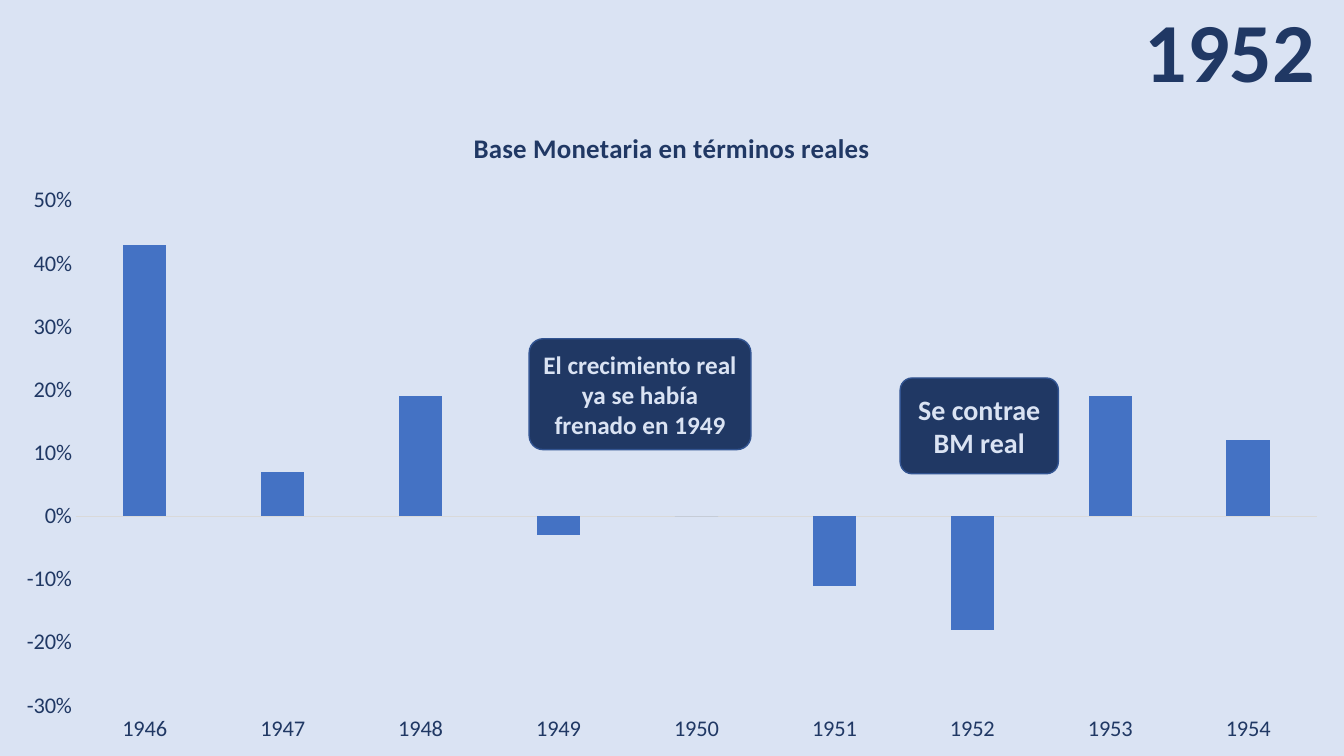
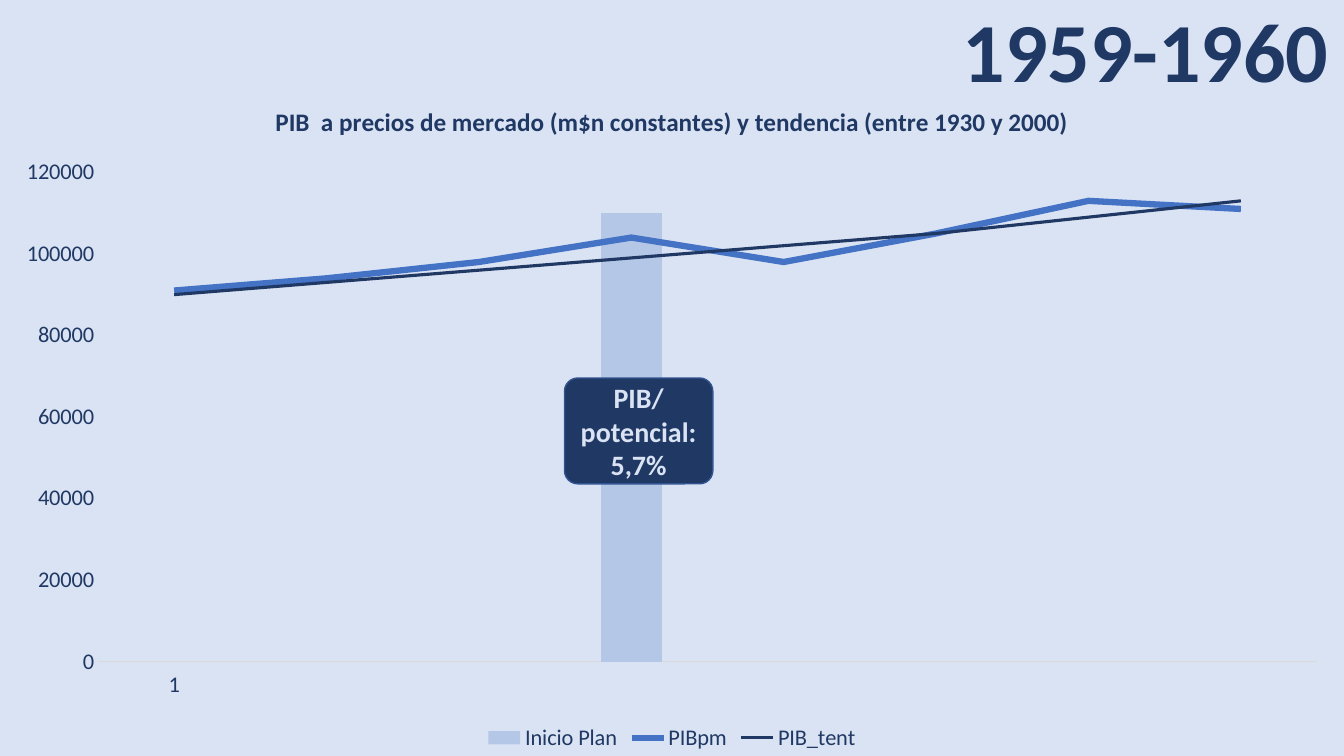
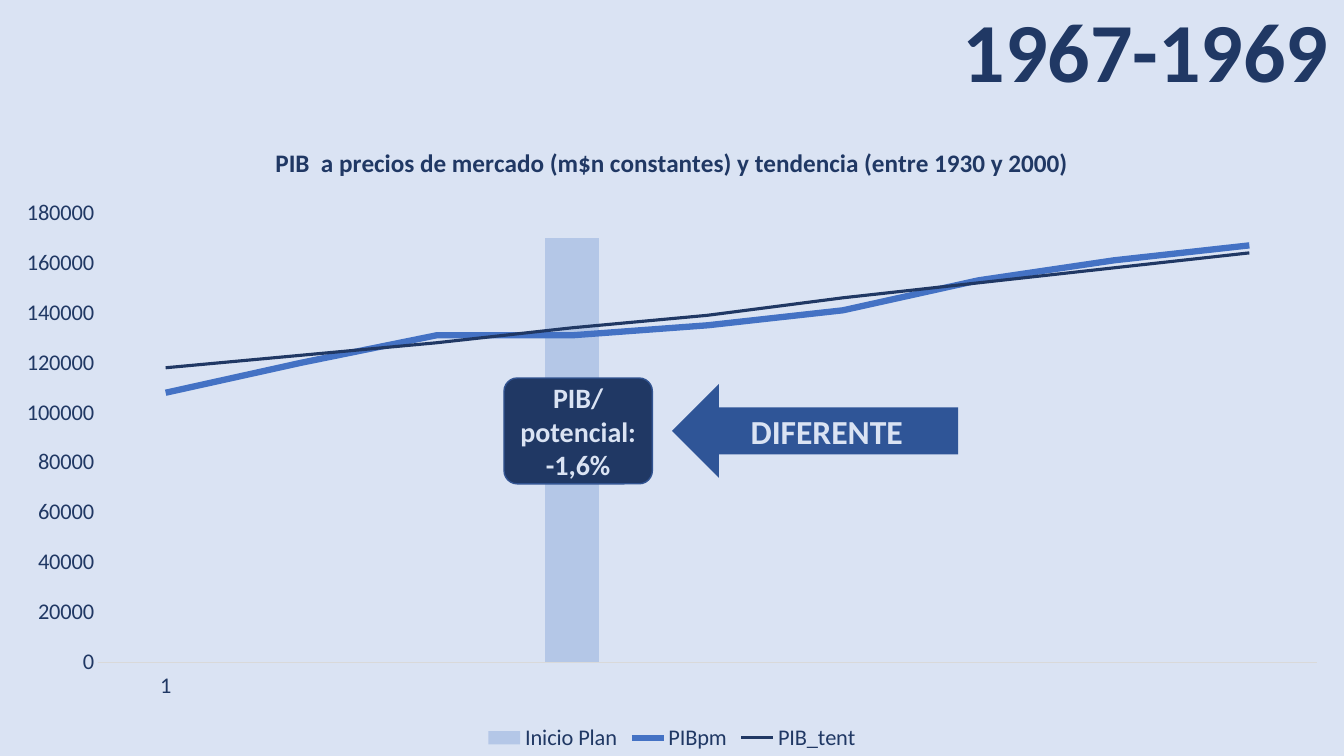
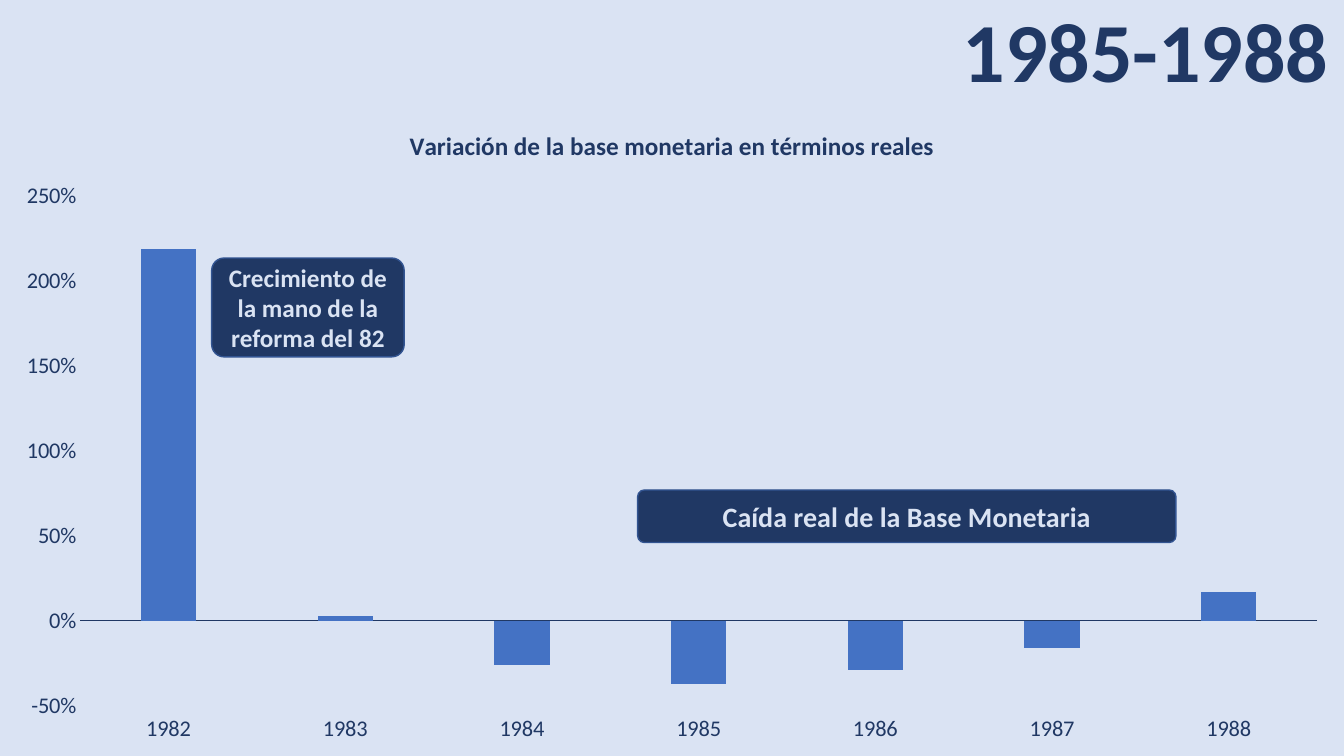
from lxml import etree
from pptx import Presentation
from pptx.chart.data import CategoryChartData
from pptx.dml.color import RGBColor
from pptx.enum.chart import XL_CHART_TYPE as ChartType
from pptx.enum.chart import XL_LEGEND_POSITION as LegendPosition
from pptx.enum.chart import XL_MARKER_STYLE as MarkerStyle
from pptx.enum.chart import XL_TICK_LABEL_POSITION as LabelPosition
from pptx.enum.chart import XL_TICK_MARK as TickMark
from pptx.enum.shapes import MSO_SHAPE as Shape
from pptx.enum.text import MSO_ANCHOR as Anchor
from pptx.enum.text import PP_ALIGN as Align
from pptx.oxml.ns import qn
from pptx.util import Pt

COLORS = {
    "background": "DAE3F3",
    "dark": "203864",
    "bar": "4472C4",
    "plan": "B4C7E7",
    "arrow": "2F5597",
    "outline": "325491",
    "axis": "D9D9D9",
}
FONT = "Calibri"
SLIDE_WIDTH, SLIDE_HEIGHT = 960, 540
YEAR_RIGHT, YEAR_HEIGHT = 961, 75.6
TREND_TITLE = "PIB  a precios de mercado (m$n constantes) y tendencia (entre 1930 y 2000)"
# Line series: colour and width
TREND_LINES = {"PIBpm": ("bar", 4.5), "PIB_tent": ("dark", 2.25)}
VALUE_AXIS = {
    "has_major_gridlines": False,
    "major_tick_mark": TickMark.NONE,
    "minor_tick_mark": TickMark.NONE,
}
CATEGORY_AXIS = {**VALUE_AXIS, "tick_label_position": LabelPosition.LOW}

# Boxes are left, top, width, height; scales are minimum, maximum, step
SLIDES = [
    {
        "year": "1952", "year_width": 165,
        "title": "Base Monetaria en términos reales", "title_size": 19.2,
        "chart_top": 75.6, "scale": (-0.3, 0.5, 0.1), "axis": "axis",
        "categories": range(1946, 1955),
        "series": {"Series 1": (0.43, 0.07, 0.19, -0.03, 0, -0.11, -0.18, 0.19, 0.12)},
        "callouts": [
            ("Se contrae BM real", 20, (643, 270, 113, 68.4)),
            ("El crecimiento real ya se había frenado en 1949", 18, (378, 242, 158.4, 79.2)),
        ],
    },
    {
        "year": "1959-1960", "year_width": 285,
        "title": TREND_TITLE, "title_size": 18,
        "chart_top": 57.6, "scale": (0, 120000, 20000), "axis": "axis",
        "categories": ["1"] + [""] * 7,
        "series": {
            "Inicio Plan": (None, None, None, 110000, None, None, None, None),
            "PIBpm": (91000, 94000, 98000, 104000, 98000, 105000, 113000, 111000),
            "PIB_tent": (90000, 93000, 96000, 99000, 102000, 105000, 109000, 113000),
        },
        "callouts": [("PIB/\npotencial:\n5,7%", 20, (403.2, 270, 106, 75.6))],
    },
    {
        "year": "1967-1969", "year_width": 285,
        "title": TREND_TITLE, "title_size": 18,
        "chart_top": 87.8, "scale": (0, 180000, 20000), "axis": "axis",
        "categories": ["1"] + [""] * 8,
        "series": {
            "Inicio Plan": (None, None, None, 170000, None, None, None, None, None),
            "PIBpm": (108000, 120000, 131000, 131000, 135000, 141000, 153000, 161000, 167000),
            "PIB_tent": (118000, 123000, 128000, 134000, 139000, 146000, 152000, 158000, 164000),
        },
        "callouts": [("PIB/\npotencial:\n-1,6%", 20, (360, 270, 106, 75.6))],
        "arrow": ("DIFERENTE", 24, (480, 274.3, 204.5, 67)),
    },
    {
        "year": "1985-1988", "year_width": 285,
        "title": "Variación de la base monetaria en términos reales", "title_size": 18,
        "chart_top": 75.6, "scale": (-0.5, 2.5, 0.5), "axis": "dark",
        "categories": range(1982, 1989),
        "series": {"Series 1": (2.19, 0.03, -0.26, -0.37, -0.29, -0.16, 0.17)},
        "callouts": [
            ("Crecimiento de la mano de la reforma del 82", 18, (151.2, 184.3, 137.5, 70.6)),
            ("Caída real de la Base Monetaria", 20, (455.5, 350, 384.5, 37.5)),
        ],
    },
]


def color(name):
    return RGBColor.from_string(COLORS[name])


def write_text(shape, text, size, color_name, anchor):
    frame = shape.text_frame
    frame.word_wrap = True
    frame.vertical_anchor = anchor
    frame.text = text
    for paragraph in frame.paragraphs:
        paragraph.alignment = Align.CENTER
        for name, value in {"name": FONT, "size": Pt(size), "bold": True}.items():
            setattr(paragraph.font, name, value)
        paragraph.font.color.rgb = color(color_name)


presentation = Presentation()
presentation.slide_width, presentation.slide_height = Pt(SLIDE_WIDTH), Pt(SLIDE_HEIGHT)
background = presentation.slide_master.background.fill
background.solid()
background.fore_color.rgb = color("background")

for content in SLIDES:
    slide = presentation.slides.add_slide(presentation.slide_layouts[6])

    # Years
    width = content["year_width"]
    year = slide.shapes.add_textbox(Pt(YEAR_RIGHT - width), 0, Pt(width), Pt(YEAR_HEIGHT))
    write_text(year, content["year"], 60, "dark", Anchor.BOTTOM)
    year.text_frame.paragraphs[0].line_spacing = 0.9

    # Chart
    has_trend = len(content["series"]) > 1
    number_format = "General" if has_trend else "0%"
    data = CategoryChartData(number_format=number_format)
    data.categories = [str(category) for category in content["categories"]]
    for name, values in content["series"].items():
        data.add_series(name, values)
    top = content["chart_top"]
    chart = slide.shapes.add_chart(
        ChartType.COLUMN_CLUSTERED, 0, Pt(top), Pt(SLIDE_WIDTH), Pt(SLIDE_HEIGHT - top), data
    ).chart
    for name, value in {"name": FONT, "size": Pt(16)}.items():
        setattr(chart.font, name, value)
    chart.font.color.rgb = color("dark")

    # Chart title and legend
    chart.has_title = True
    chart.chart_title.include_in_layout = False
    chart.chart_title.text_frame.text = content["title"]
    title_font = chart.chart_title.text_frame.paragraphs[0].runs[0].font
    title_format = {"name": FONT, "size": Pt(content["title_size"]), "bold": True}
    for name, value in title_format.items():
        setattr(title_font, name, value)
    title_font.color.rgb = color("dark")
    chart.has_legend = has_trend
    if has_trend:
        chart.legend.position = LegendPosition.BOTTOM
        chart.legend.include_in_layout = False

    # Axes
    scale = dict(zip(("minimum_scale", "maximum_scale", "major_unit"), content["scale"]))
    for name, value in {**VALUE_AXIS, **scale}.items():
        setattr(chart.value_axis, name, value)
    for name, value in CATEGORY_AXIS.items():
        setattr(chart.category_axis, name, value)
    chart.value_axis.format.line.fill.background()
    chart.value_axis.tick_labels.number_format = number_format
    chart.value_axis.tick_labels.number_format_is_linked = False
    chart.category_axis.format.line.color.rgb = color(content["axis"])
    chart.category_axis.format.line.width = Pt(0.75)

    # Columns
    columns = chart.plots[0]
    columns.vary_by_categories = False
    columns.gap_width = 150 if has_trend else 219
    columns.overlap = 0 if has_trend else -27
    column_series = columns.series[0]
    column_series.invert_if_negative = False
    column_series.format.fill.solid()
    column_series.format.fill.fore_color.rgb = color("plan" if has_trend else "bar")

    # Trend lines share the axes of the columns
    if has_trend:
        bar_chart = chart.plots[0].series[0].format._element.getparent()
        line_chart = bar_chart.makeelement(qn("c:lineChart"))
        bar_chart.addnext(line_chart)
        etree.SubElement(line_chart, qn("c:grouping")).set("val", "standard")
        etree.SubElement(line_chart, qn("c:varyColors")).set("val", "0")
        for series_element in bar_chart.findall(qn("c:ser"))[1:]:
            for invert in series_element.findall(qn("c:invertIfNegative")):
                series_element.remove(invert)
            line_chart.append(series_element)
        for axis in bar_chart.findall(qn("c:axId")):
            etree.SubElement(line_chart, qn("c:axId")).set("val", axis.get("val"))
        for series in chart.plots[1].series:
            color_name, line_width = TREND_LINES[series.name]
            series.smooth = False
            series.marker.style = MarkerStyle.NONE
            series.format.line.color.rgb = color(color_name)
            series.format.line.width = Pt(line_width)

    # Callouts
    for text, size, box in content["callouts"]:
        callout = slide.shapes.add_shape(Shape.ROUNDED_RECTANGLE, *map(Pt, box))
        callout.shadow.inherit = False
        callout.adjustments[0] = 0.125
        callout.fill.solid()
        callout.fill.fore_color.rgb = color("dark")
        callout.line.color.rgb = color("outline")
        callout.line.width = Pt(1)
        write_text(callout, text, size, "background", Anchor.MIDDLE)

    # Arrow
    if "arrow" in content:
        text, size, box = content["arrow"]
        arrow = slide.shapes.add_shape(Shape.LEFT_ARROW, *map(Pt, box))
        arrow.shadow.inherit = False
        arrow.fill.solid()
        arrow.fill.fore_color.rgb = color("arrow")
        arrow.line.fill.background()
        write_text(arrow, text, size, "background", Anchor.MIDDLE)

presentation.save("out.pptx")
